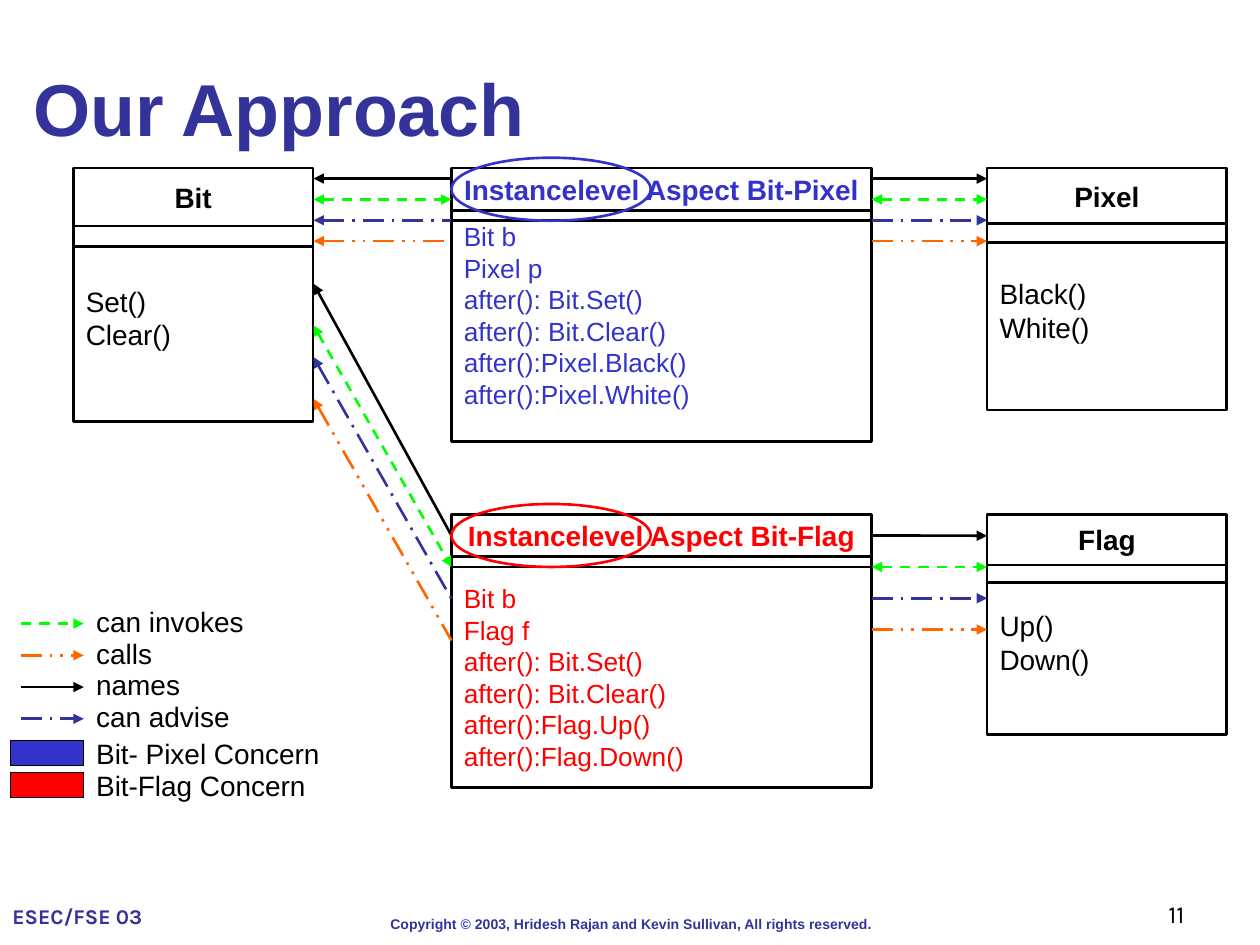
from dataclasses import dataclass

from lxml.etree import SubElement
from pptx import Presentation
from pptx.dml.color import RGBColor
from pptx.enum.dml import MSO_LINE
from pptx.enum.shapes import MSO_CONNECTOR, MSO_SHAPE
from pptx.enum.text import MSO_ANCHOR, MSO_AUTO_SIZE, PP_ALIGN
from pptx.oxml.ns import qn
from pptx.util import Cm, Pt


@dataclass(frozen=True)
class Theme:
    navy: str = "333399"
    blue: str = "3333CC"
    red: str = "FF0000"
    green: str = "00FF00"
    orange: str = "FF6600"
    black: str = "000000"
    white: str = "FFFFFF"
    font: str = "Arial"
    alt: str = "Karla"
    title: float = 42
    text: float = 16
    code: float = 15
    page: float = 14
    event: float = 12
    note: float = 8
    rule: float = 1.5
    thin: float = 0.75


T = Theme()

# Relation: colour, dash, arrowheads at both ends
KINDS = {
    "names": (T.black, None, False),
    "can invokes": (T.green, MSO_LINE.DASH, True),
    "can advise": (T.navy, MSO_LINE.LONG_DASH_DOT, False),
    "calls": (T.orange, MSO_LINE.DASH_DOT_DOT, False),
}

BIT_X, BIT_EDGE = 1.48, 6.32
ASP_X, ASP_W = 9.1, 8.47
ASP_EDGE = ASP_X + ASP_W
END_X, BOX_W = 19.9, 4.83
TOP_Y, LOW_Y = 3.39, 10.37
LINE_H = 0.65


def put(item, **vals):
    """Set each given format value on the item."""
    for key, val in vals.items():
        setattr(item, key, val)


def style(run, size, hue, bold=False, face=T.font):
    put(run.font, size=Pt(size), bold=bold, name=face)
    run.font.color.rgb = RGBColor.from_string(hue)


def write(frame, text, size, hue, bold=False, face=T.font,
          align=PP_ALIGN.LEFT, **vals):
    put(frame, **{"word_wrap": True, **vals})
    frame.text = text
    for para in frame.paragraphs:
        para.alignment = align
        for run in para.runs:
            style(run, size, hue, bold, face)


def add_text(slide, place, text, size, hue, **vals):
    box = slide.shapes.add_textbox(*map(Cm, place))
    write(box.text_frame, text, size, hue, **vals)
    return box.text_frame


def add_box(slide, place, fill=None, line=T.black, width=T.rule,
            kind=MSO_SHAPE.RECTANGLE):
    box = slide.shapes.add_shape(kind, *map(Cm, place))
    box.shadow.inherit = False
    if fill:
        box.fill.solid()
        box.fill.fore_color.rgb = RGBColor.from_string(fill)
    else:
        box.fill.background()
    box.line.color.rgb = RGBColor.from_string(line)
    box.line.width = Pt(width)
    return box


def add_class(slide, left, top, width, highs, name, body, hue=T.black,
              size=T.text, fill=None, lift=0.0):
    """Stack name, empty strip and body; lift raises the body text."""
    head_h, strip_h, body_h = highs
    head = add_box(slide, (left, top, width, head_h))
    write(head.text_frame, name, T.text, hue, bold=True, word_wrap=False,
          align=PP_ALIGN.CENTER, vertical_anchor=MSO_ANCHOR.MIDDLE)
    add_box(slide, (left, top + head_h, width, strip_h))
    part = add_box(slide, (left, top + head_h + strip_h, width, body_h), fill)
    write(part.text_frame, body, size, hue, word_wrap=False,
          vertical_anchor=MSO_ANCHOR.MIDDLE, margin_bottom=Cm(0.13 + lift))
    return head


def add_link(slide, kind, start, end, tip="tailEnd"):
    """Draw a relation; tip names the end that always has an arrowhead."""
    hue, dash, both = KINDS[kind]
    link = slide.shapes.add_connector(
        MSO_CONNECTOR.STRAIGHT, *map(Cm, (*start, *end)))
    link.line.color.rgb = RGBColor.from_string(hue)
    put(link.line, width=Pt(T.rule), dash_style=dash)
    props = link.element.spPr
    # The key shows one arrowhead for every relation
    ends = ("headEnd", "tailEnd") if both and tip else (tip or "tailEnd",)
    for tag in ends:
        SubElement(props.find(qn("a:ln")), qn("a:" + tag), type="triangle")
    SubElement(props, qn("a:effectLst"))
    return link


def add_links(slide, flag):
    bit_low = (5.72, 6.56, 7.2, 8.04)
    flag_left = (10.8, 11.43, 12.07, 12.91)
    for i, kind in enumerate(KINDS):
        top = 3.6 + 0.42 * i
        low = 10.8 + 0.63 * i
        add_link(slide, kind, (BIT_EDGE, top), (ASP_X, top), "headEnd")
        add_link(slide, kind, (ASP_EDGE, top), (END_X, top))
        slant = add_link(slide, kind, (BIT_EDGE, bit_low[i]),
                         (ASP_X, flag_left[i]), "headEnd")
        level = add_link(slide, kind, (ASP_EDGE, low), (END_X, low))
        if kind == "names":
            slant.end_connect(flag, 1)
            level.begin_connect(flag, 3)


def add_key(slide):
    rows = (("can invokes", 3.81, None), ("calls", 2.54, None),
            ("names", 2.54, None), ("can advise", 4.45, None),
            ("Bit- Pixel Concern", 5.72, T.blue),
            ("Bit-Flag Concern", 5.72, T.red))
    for i, (label, width, fill) in enumerate(rows):
        top = 12.06 + 0.64 * i
        if fill:
            top -= 0.53 - 0.64
            add_box(slide, (0.21, top + 0.2, 1.48, 0.51), fill, width=T.thin)
        else:
            add_link(slide, label, (0.42, top + 0.51), (1.69, top + 0.51),
                     None)
        add_text(slide, (1.69, top, width, 0.93), label, T.text, T.black,
                 auto_size=MSO_AUTO_SIZE.SHAPE_TO_FIT_TEXT)


def add_foot(slide):
    frame = add_text(slide, (7.62, 18.34, 10.24, 0.61), "Copyright ", T.note,
                     T.navy, bold=True, word_wrap=False)
    rest = " 2003, Hridesh Rajan and Kevin Sullivan, All rights reserved."
    for text, hue in (("©", T.blue), (rest, T.navy)):
        run = frame.paragraphs[0].add_run()
        run.text = text
        style(run, T.note, hue, True)
    add_text(slide, (0, 17.57, 3.6, 1.27), "ESEC/FSE 03", T.event, T.navy,
             bold=True, face=T.alt, vertical_anchor=MSO_ANCHOR.BOTTOM)
    add_text(slide, (18.84, 17.57, 5.29, 1.27), "11", T.page, T.black,
             face=T.alt, align=PP_ALIGN.RIGHT,
             vertical_anchor=MSO_ANCHOR.BOTTOM)


def main():
    deck = Presentation()
    put(deck, slide_width=Cm(25.4), slide_height=Cm(19.05))
    slide = deck.slides.add_slide(deck.slide_layouts[5])
    title = slide.shapes.title
    put(title, left=Cm(0.42), top=Cm(0), width=Cm(24.13), height=Cm(3.18))
    write(title.text_frame, "Our Approach", T.title, T.navy, bold=True,
          vertical_anchor=MSO_ANCHOR.BOTTOM, auto_size=MSO_AUTO_SIZE.NONE)

    for left, top, highs, name, body in (
            (BIT_X, TOP_Y, (1.17, 0.41, 3.53), "Bit", "Set()\nClear()"),
            (END_X, TOP_Y, (1.12, 0.38, 3.38), "Pixel", "Black()\nWhite()"),
            (END_X, LOW_Y, (1.02, 0.35, 3.07), "Flag", "Up()\nDown()")):
        add_class(slide, left, top, BOX_W, highs, name, body, lift=LINE_H)

    calls = "after(): Bit.Set()\nafter(): Bit.Clear()\n"
    heads = [
        add_class(slide, ASP_X, top, ASP_W, (0.85, 0.21, 4.45),
                  f"Instancelevel Aspect Bit-{name}", body, hue, T.code,
                  T.white, lift)
        for top, name, hue, lift, body in (
            (TOP_Y, "Pixel", T.blue, LINE_H, "Bit b\nPixel p\n" + calls
             + "after():Pixel.Black()\nafter():Pixel.White()"),
            (LOW_Y, "Flag", T.red, 0, "Bit b\nFlag f\n" + calls
             + "after():Flag.Up()\nafter():Flag.Down()"))]
    add_links(slide, heads[1])
    for top, hue in ((TOP_Y, T.blue), (LOW_Y, T.red)):
        add_box(slide, (ASP_X, top - 0.21, 4.02, 1.27), line=hue,
                kind=MSO_SHAPE.OVAL)
    add_key(slide)
    add_foot(slide)
    deck.save("out.pptx")


if __name__ == "__main__":
    main()
